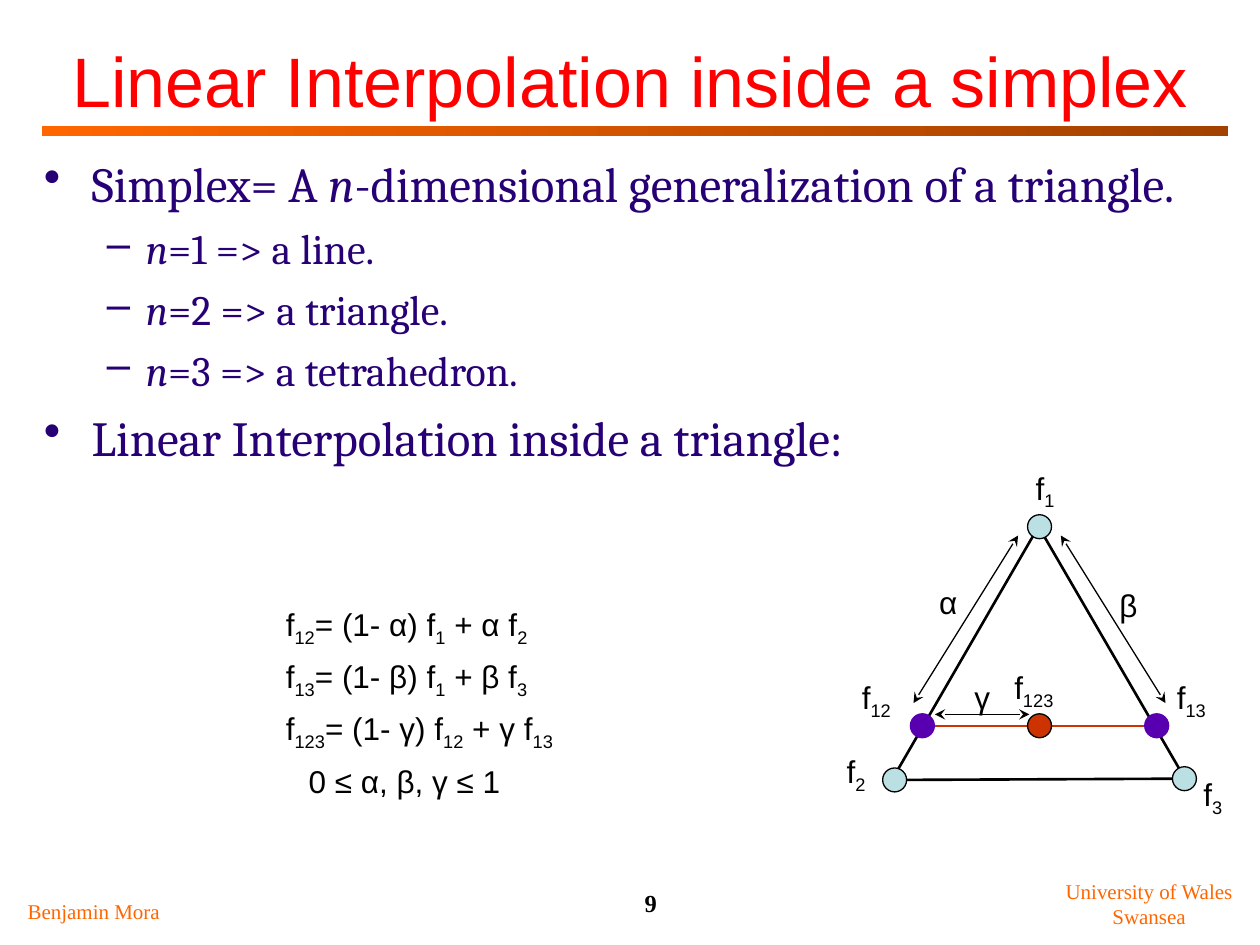
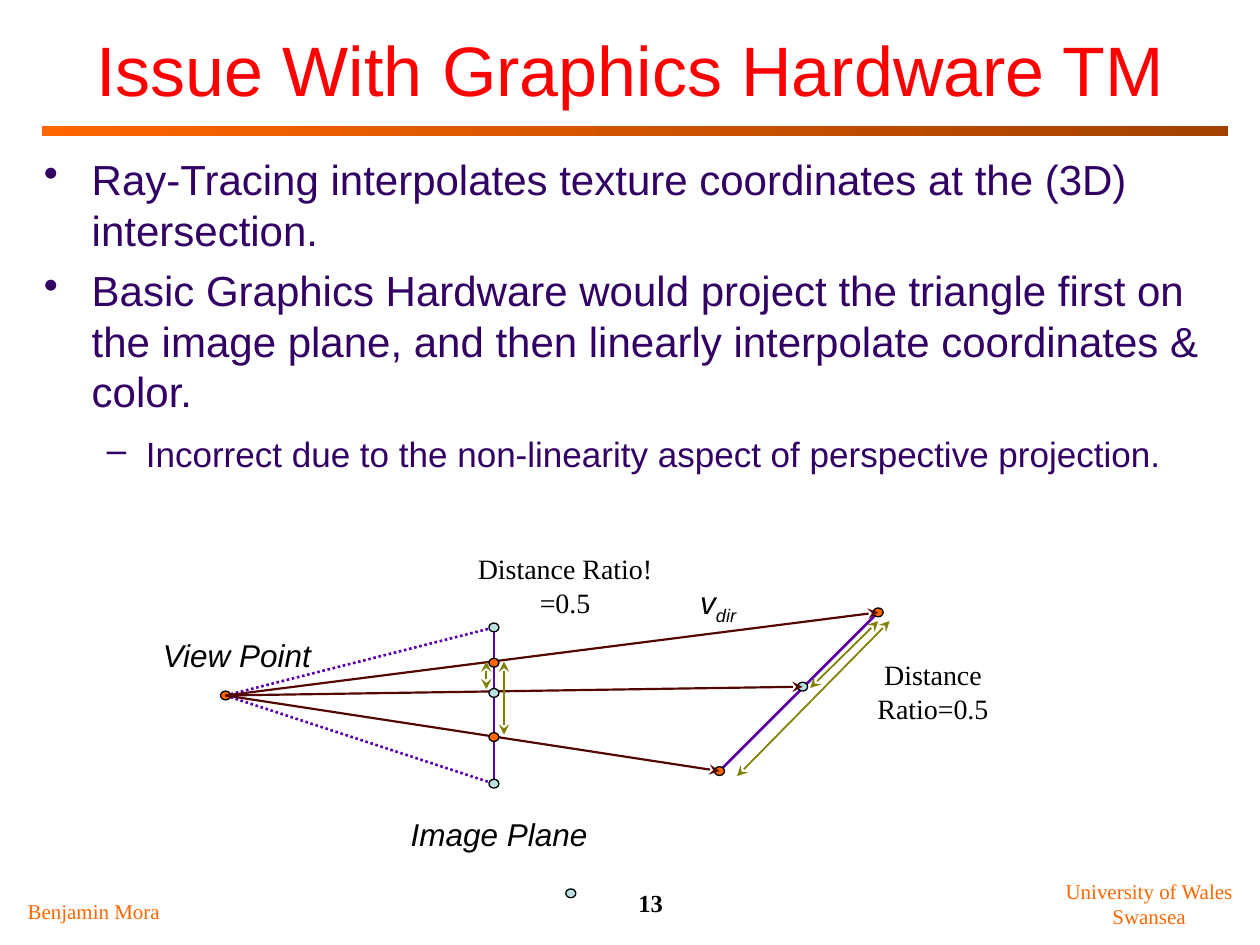
from lxml import etree
from pptx import Presentation
from pptx.dml.color import RGBColor
from pptx.enum import dml, shapes, text
from pptx.oxml import ns
from pptx.util import Inches, Pt

HUES = {
    "title": "FF0000", "brand": "FF6600", "dark": "A24100", "ink": "000000",
    "navy": "270076", "plum": "320064", "violet": "5800B0", "pale": "BBE0E3",
    "red": "CC3300", "ray": "530701", "olive": "808000",
}
SANS, SERIF, BOOK = "Arial", "Times New Roman", "Cambria"
LEFT, MID = text.PP_ALIGN.LEFT, text.PP_ALIGN.CENTER
LEVELS = [("•", 0.38, -0.38), ("–", 0.81, -0.31)]


def hue(name):
    return RGBColor.from_string(HUES[name])


def node(parent, tag, **attrs):
    return etree.SubElement(parent, ns.qn(tag), attrs)


def style(para, size, face, color, bold=None, italic=None):
    font = para.font
    font.size, font.name, font.bold, font.italic = Pt(size), face, bold, italic
    font.color.rgb = hue(color)


def write(para, words):
    for i, chunk in enumerate(words.split("_")):
        for j, part in enumerate(chunk.split("*")):
            if part:
                run = para.add_run()
                run.text = part
                if i % 2:
                    run._r.get_or_add_rPr().set("baseline", "-25000")
                if j % 2:
                    run.font.italic = True


def frame(slide, x, y, w, h):
    box = slide.shapes.add_textbox(Inches(x), Inches(y), Inches(w), Inches(h))
    box.text_frame.word_wrap = True
    return box.text_frame


def label(slide, x, y, w, h, words, size=18, face=SANS, color="ink",
          align=MID, bold=None, italic=None):
    area = frame(slide, x, y, w, h)
    para = area.paragraphs[0]
    para.alignment = align
    style(para, size, face, color, bold, italic)
    write(para, words)
    return area


class Pane:
    def __init__(self, slide, x, y):
        self.slide, self.x, self.y = slide, x, y

    def line(self, start, end, color, width, ends="", dash=None):
        (ax, ay), (bx, by) = start, end
        link = self.slide.shapes.add_connector(
            shapes.MSO_CONNECTOR.STRAIGHT,
            Inches(self.x + ax), Inches(self.y + ay),
            Inches(self.x + bx), Inches(self.y + by))
        link.line.color.rgb = hue(color)
        link.line.width = Pt(width)
        if dash:
            link.line.dash_style = dash
        stroke = link.line._get_or_add_ln()
        for end in ends.split():
            node(stroke, f"a:{end}End", type="stealth")
        node(link._element.spPr, "a:effectLst")

    def dot(self, spot, color, w=0.19, h=0.19, edge="ink"):
        cx, cy = spot
        ball = self.slide.shapes.add_shape(
            shapes.MSO_SHAPE.OVAL, Inches(self.x + cx - w / 2),
            Inches(self.y + cy - h / 2), Inches(w), Inches(h))
        ball.shadow.inherit = False
        ball.fill.solid()
        ball.fill.fore_color.rgb = hue(color)
        ball.line.color.rgb = hue(edge)
        ball.line.width = Pt(0.75)

    def label(self, x, y, w, h, words, **kind):
        label(self.slide, self.x + x, self.y + y, w, h, words, **kind)


def base(deck, title, top, number):
    slide = deck.slides.add_slide(deck.slide_layouts[6])
    head = label(slide, 0.25, top, 9.5, 0.92, title, 40, color="title")
    head.vertical_anchor = text.MSO_ANCHOR.MIDDLE
    label(slide, 4.5, 7, 1.33, 0.34, number, 14, SERIF, bold=True)
    label(slide, 0.08, 7.08, 1.33, 0.3, "Benjamin Mora", 12, SERIF, "brand")
    label(slide, 8.33, 6.92, 1.58, 0.5, "University of Wales Swansea",
          12, SERIF, "brand")
    band = slide.shapes.add_shape(
        shapes.MSO_SHAPE.RECTANGLE, Inches(0.33), Inches(1),
        Inches(9.42), Inches(0.08))
    band.shadow.inherit = False
    band.line.fill.background()
    band.fill.gradient()
    band.fill.gradient_angle = 0
    for stop, (place, name) in zip(band.fill.gradient_stops,
                                   [(0, "brand"), (1, "dark")]):
        stop.position = place
        stop.color.rgb = hue(name)
    return slide


def body(slide, items, face, color):
    area = frame(slide, 0.25, 1.17, 9.5, 5.75)
    for i, (level, size, gap, words) in enumerate(items):
        para = area.add_paragraph() if i else area.paragraphs[0]
        mark, left, hang = LEVELS[level]
        props = para._p.get_or_add_pPr()
        props.set("marL", str(Inches(left)))
        props.set("indent", str(Inches(hang)))
        node(node(props, "a:buClr"), "a:srgbClr", val=HUES[color])
        node(props, "a:buChar", char=mark)
        if i:
            para.space_before = Pt(gap)
        style(para, size, face, color)
        write(para, words)


def rules(slide, x, y):
    pane = Pane(slide, x, y)
    rows = ["f_12_= (1- α) f_1_ + α f_2", "f_13_= (1- β) f_1_ + β f_3",
            "f_123_= (1- γ) f_12_ + γ f_13"]
    for i, row in enumerate(rows):
        pane.label(0.42, i * 0.415, 2.92, 0.44, row, align=LEFT)
    pane.label(0, 1.25, 2.92, 0.4, "0 ≤ α, β, γ ≤ 1")


def simplex(slide, x, y):
    pane = Pane(slide, x, y)
    pane.line((0.82, 2.26), (2.7, 2.26), "red", 1)
    for start, end in [((0.65, 2.69), (2.9, 2.68)),
                       ((0.55, 2.74), (1.73, 0.7)),
                       ((1.76, 0.71), (2.94, 2.74))]:
        pane.line(start, end, "ink", 1.5)
    for start, end in [((0.92, 2.17), (1.67, 2.17)),
                       ((1.58, 0.75), (0.75, 2.08)),
                       ((1.92, 0.75), (2.75, 2.08))]:
        pane.line(start, end, "ink", 0.75, "head tail")
    for spot in [(0.6, 2.69), (2.9, 2.68), (1.75, 0.68)]:
        pane.dot(spot, "pale")
    for spot in [(0.82, 2.26), (2.68, 2.26)]:
        pane.dot(spot, "violet", edge="violet")
    pane.dot((1.75, 2.26), "red")
    for left, top, words in [
            (1.42, 0.17, "f_1"), (-0.08, 2.42, "f_2"), (2.75, 2.6, "f_3"),
            (0.08, 1.83, "f_12"), (2.58, 1.83, "f_13"), (1.33, 1.75, "f_123"),
            (0.65, 1.08, "α"), (2.08, 1.1, "β"), (0.92, 1.83, "γ")]:
        pane.label(left, top, 0.75, 0.44, words)


def view(slide, x, y):
    pane = Pane(slide, x, y)
    eye, far, mid, near = (1.12, 1.52), (6.3, 0.86), (5.7, 1.45), (5.04, 2.12)
    high, low = (3.25, 0.98), (3.25, 2.22)
    small = {"w": 0.08, "h": 0.07}
    pane.line(far, near, "violet", 1.5)
    pane.line(high, low, "violet", 1.5)
    for edge in (high, low):
        pane.line(eye, edge, "violet", 1.5, dash=dml.MSO_LINE.ROUND_DOT)
    for spot in (high, low, mid, (3.86, 3.09)):
        pane.dot(spot, "pale", **small)
    for spot in (eye, far, near):
        pane.dot(spot, "brand", **small)
    for spot in (mid, far, near):
        pane.line(eye, spot, "ray", 1.25, "tail")
    for top, color in [(1.26, "brand"), (1.5, "pale"), (1.85, "brand")]:
        pane.dot((3.25, top), color, **small)
    for start, end in [((5.76, 1.46), (6.3, 0.93)),
                       ((5.18, 2.16), (6.39, 0.93)),
                       ((3.19, 1.47), (3.19, 1.25)),
                       ((3.33, 1.83), (3.33, 1.25))]:
        pane.line(start, end, "olive", 1, "head tail")
    pane.label(0, 1, 2.42, 0.4, "View Point", italic=True)
    pane.label(2.08, 2.42, 2.42, 0.4, "Image Plane", italic=True)
    pane.label(4.68, 0.58, 0.7, 0.44, "v_dir", italic=True)
    pane.label(2.91, 0.33, 1.81, 0.64, "Distance Ratio!=0.5",
               size=16, face=SERIF)
    pane.label(5.83, 1.17, 1.81, 0.64, "Distance Ratio=0.5",
               size=16, face=SERIF)


def main():
    deck = Presentation()
    deck.slide_width, deck.slide_height = Inches(10), Inches(7.5)

    slide = base(deck, "Linear Interpolation inside a simplex", 0.17, "9")
    body(slide, [
        (0, 28, 7, "Simplex= A *n*-dimensional generalization of a triangle."),
        (1, 24, 6, "*n*=1 => a line."),
        (1, 24, 6, "*n*=2 => a triangle."),
        (1, 24, 6, "*n*=3 => a tetrahedron."),
        (0, 28, 7, "Linear Interpolation inside a triangle:"),
    ], BOOK, "navy")
    rules(slide, 1.75, 4.75)
    simplex(slide, 6.5, 3.5)

    slide = base(deck, "Issue With Graphics Hardware TM", 0.08, "13")
    body(slide, [
        (0, 24, 6, "Ray-Tracing interpolates texture coordinates at the (3D) "
                   "intersection."),
        (0, 24, 6, "Basic Graphics Hardware would project the triangle first "
                   "on the image plane, and then linearly interpolate "
                   "coordinates & color."),
        (1, 20, 9.6, "Incorrect due to the non-linearity aspect of "
                     "perspective projection."),
    ], SANS, "plum")
    view(slide, 0.67, 4)

    deck.save("out.pptx")


if __name__ == "__main__":
    main()
